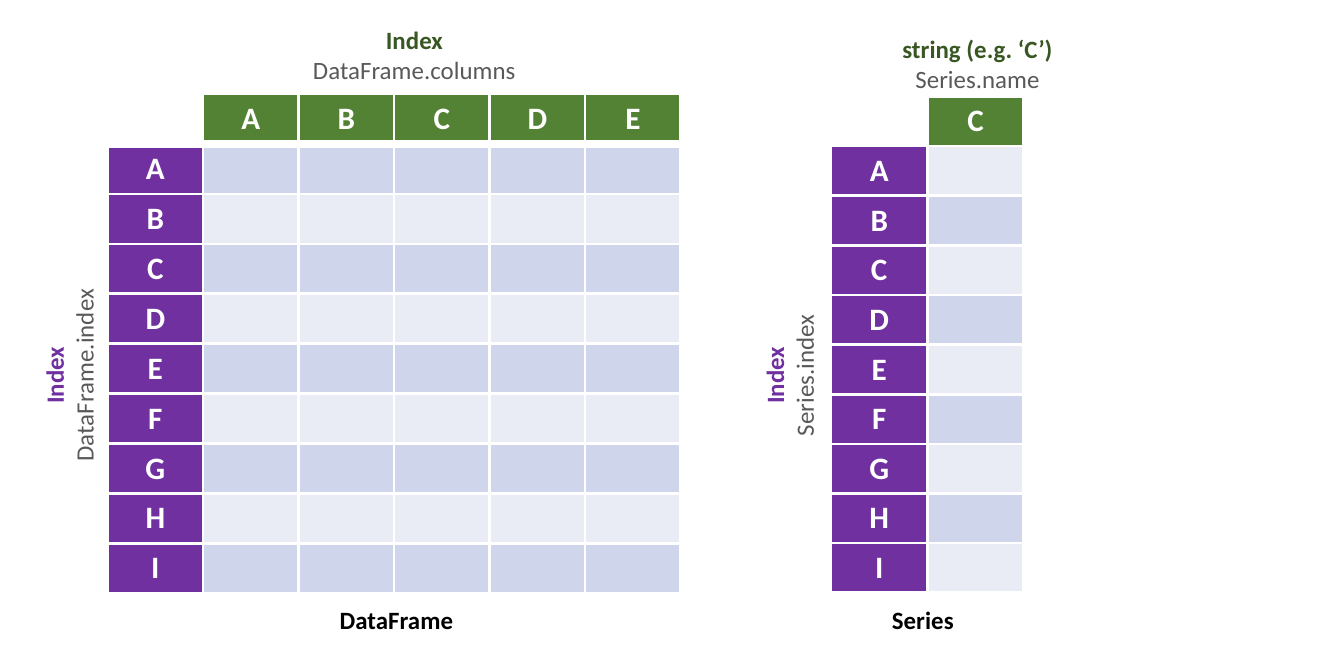
from lxml import etree
from pptx import Presentation
from pptx.dml.color import RGBColor
from pptx.enum.text import MSO_ANCHOR, MSO_AUTO_SIZE, PP_ALIGN
from pptx.oxml import parse_xml
from pptx.oxml.ns import nsdecls, qn
from pptx.util import Inches, Pt

FONT = "Calibri"
WHITE = RGBColor(0xFF, 0xFF, 0xFF)
BLACK = RGBColor(0x00, 0x00, 0x00)
GRAY = RGBColor(0x59, 0x59, 0x59)
GREEN = RGBColor(0x54, 0x82, 0x35)
DARK_GREEN = RGBColor(0x38, 0x57, 0x23)
PURPLE = RGBColor(0x70, 0x30, 0xA0)
BAND_DARK = RGBColor(0xCF, 0xD5, 0xEA)
BAND_LIGHT = RGBColor(0xE9, 0xEB, 0xF5)

ROW_LABELS = "ABCDEFGHI"


def add_run(p, text, size, color, bold):
    """Append a centred, formatted run to a paragraph."""
    p.alignment = PP_ALIGN.CENTER
    r = p.add_run()
    r.text = text
    r.font.name = FONT
    r.font.size = Pt(size)
    r.font.bold = bold
    r.font.color.rgb = color


def set_borders(cell, top, bottom):
    """Give a cell white borders with the given top and bottom widths in points."""
    tcPr = cell._tc.get_or_add_tcPr()
    widths = {"lnL": 1, "lnR": 1, "lnT": top, "lnB": bottom}
    for i, (tag, width) in enumerate(widths.items()):
        tcPr.insert(i, parse_xml(
            f'<a:{tag} {nsdecls("a")} w="{Pt(width)}"><a:solidFill>'
            f'<a:srgbClr val="{WHITE}"/></a:solidFill></a:{tag}>'))


prs = Presentation()
prs.slide_width, prs.slide_height = Inches(6), Inches(3)
s = prs.slides.add_slide(prs.slide_layouts[6])

# Tables: left, top, width, height, column labels, odd and even bands, header rule
tables = [
    (0.48, 0.42, 2.56, 2.23, "ABCDE", BAND_DARK, BAND_LIGHT, 3),
    (3.71, 0.43, 0.86, 2.22, "C", BAND_LIGHT, BAND_DARK, 1),
]
for left, top, width, height, col_labels, odd, even, rule in tables:
    n_rows, n_cols = len(ROW_LABELS) + 1, len(col_labels) + 1
    tbl = s.shapes.add_table(n_rows, n_cols, Inches(left), Inches(top),
                             Inches(width), Inches(height)).table
    tbl.first_row = tbl.horz_banding = False
    for row in range(n_rows):
        for col in range(n_cols):
            cell = tbl.cell(row, col)
            cell.vertical_anchor = MSO_ANCHOR.MIDDLE
            cell.margin_left = cell.margin_right = Inches(0.03)
            cell.margin_top = cell.margin_bottom = Inches(0.01)
            label = ""
            if row == 0 and col == 0:
                fill = WHITE
            elif row == 0:
                fill, label = GREEN, col_labels[col - 1]
            elif col == 0:
                fill, label = PURPLE, ROW_LABELS[row - 1]
            else:
                fill = odd if row % 2 else even
            cell.fill.solid()
            cell.fill.fore_color.rgb = fill
            set_borders(cell, rule if row == 1 else 1, rule if row == 0 else 1)
            p = cell.text_frame.paragraphs[0]
            if label:
                add_run(p, label, 10, WHITE, True)
            else:
                # A small end mark keeps empty cells from stretching the row
                etree.SubElement(p._p, qn("a:endParaRPr"), sz="1000")

# Captions: left, top, width, height, rotation, title, title colour, attribute
captions = [
    (1.41, 2.65, 0.72, 0.24, 0, "DataFrame", BLACK, None),
    (3.88, 2.65, 0.48, 0.24, 0, "Series", BLACK, None),
    (1.29, 0.06, 1.12, 0.37, 0, "Index", DARK_GREEN, "DataFrame.columns"),
    (-0.18, 1.49, 0.98, 0.37, 270, "Index", PURPLE, "DataFrame.index"),
    (3.15, 1.49, 0.75, 0.37, 270, "Index", PURPLE, "Series.index"),
    (3.93, 0.1, 0.87, 0.37, 0, "string (e.g. ‘C’)", DARK_GREEN, "Series.name"),
]
for left, top, width, height, rotation, title, color, attribute in captions:
    sp = s.shapes.add_textbox(Inches(left), Inches(top), Inches(width), Inches(height))
    sp.rotation = rotation
    tf = sp.text_frame
    tf.word_wrap = False
    tf.auto_size = MSO_AUTO_SIZE.SHAPE_TO_FIT_TEXT
    add_run(tf.paragraphs[0], title, 8, color, True)
    if attribute:
        add_run(tf.add_paragraph(), attribute, 8, GRAY, False)

prs.save("out.pptx")
